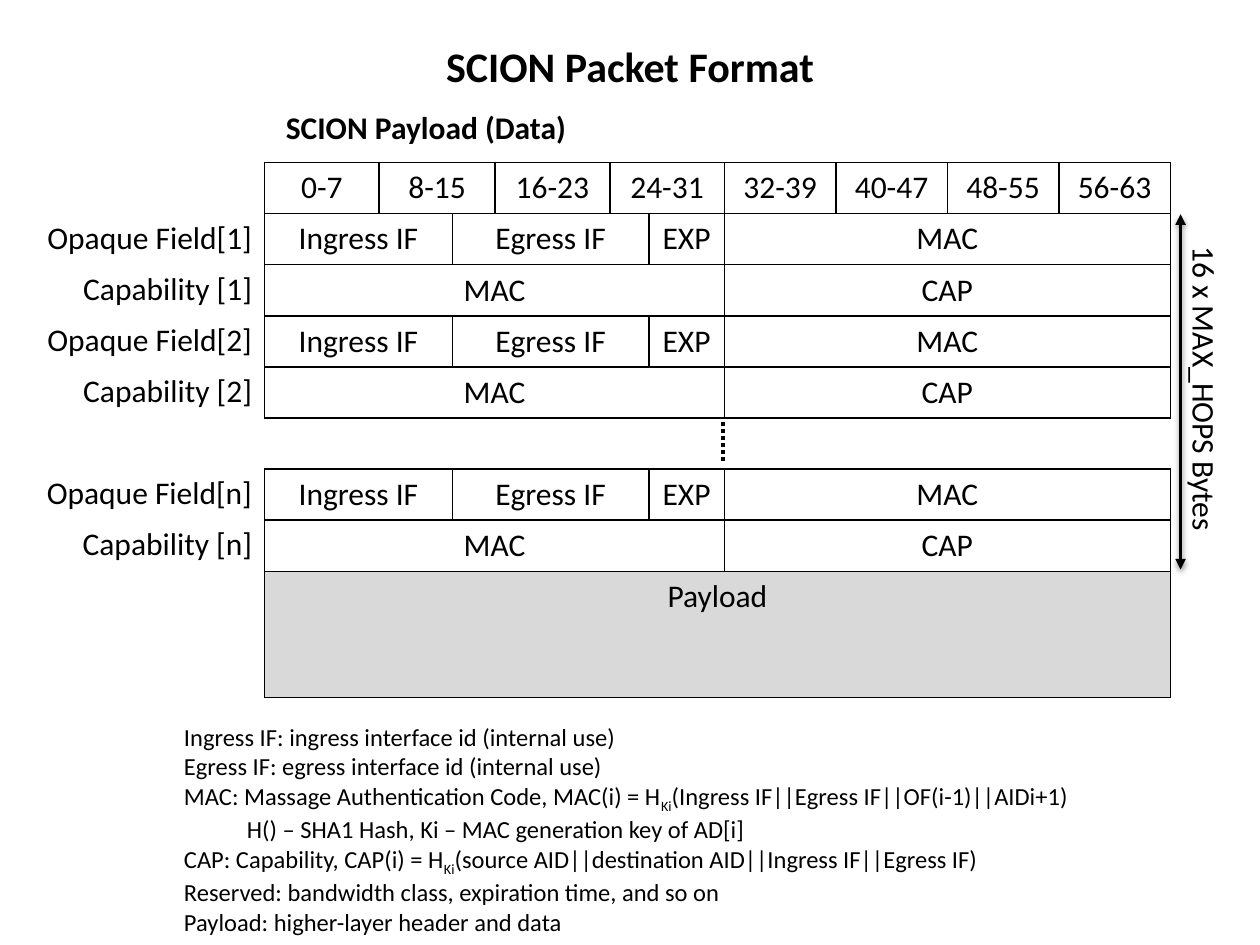
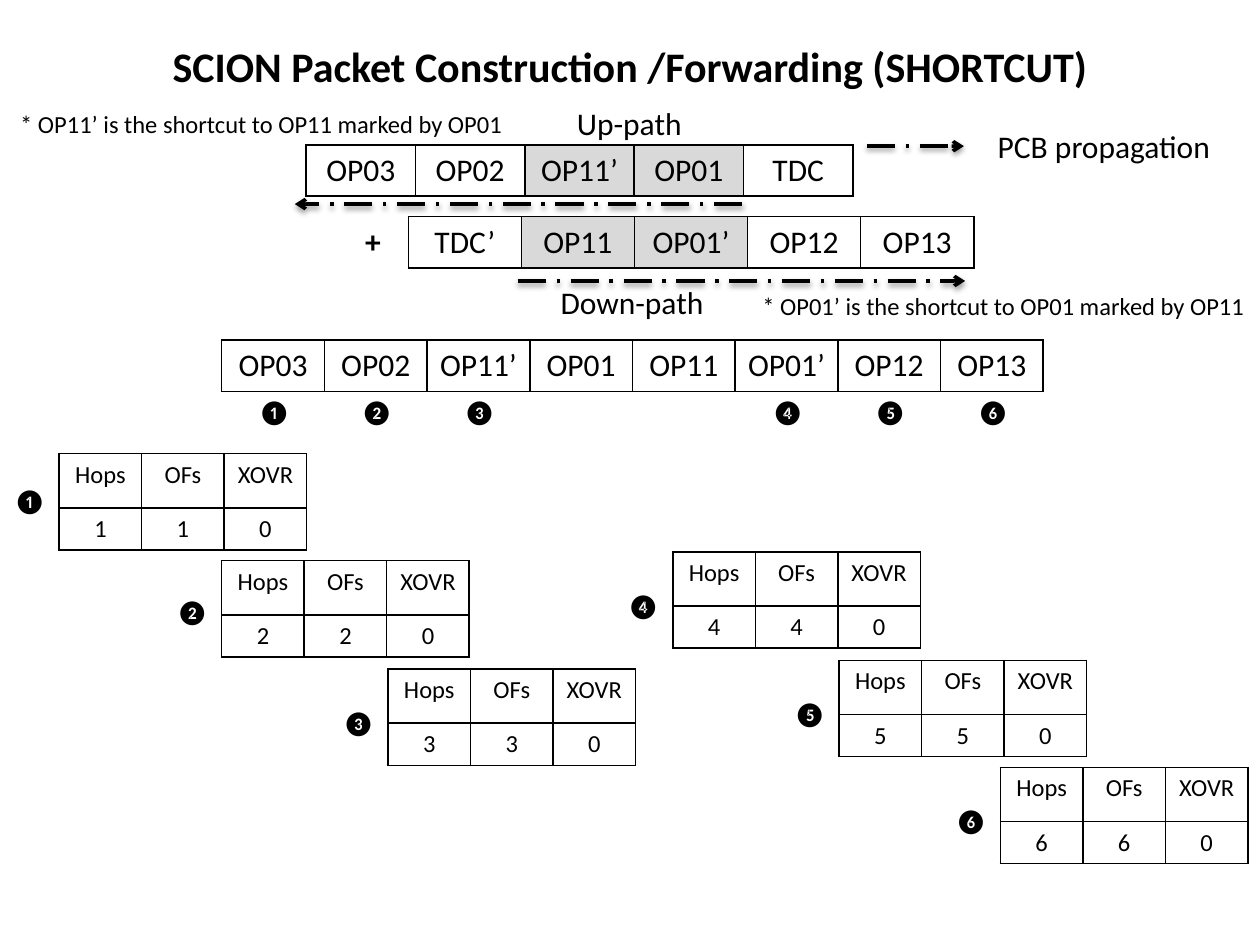
from dataclasses import dataclass
from itertools import accumulate

from lxml import etree
from pptx import Presentation
from pptx.dml.color import RGBColor
from pptx.enum.dml import MSO_LINE
from pptx.enum.shapes import MSO_CONNECTOR
from pptx.enum.text import MSO_ANCHOR, MSO_AUTO_SIZE, PP_ALIGN
from pptx.oxml.ns import qn
from pptx.util import Emu, Inches, Pt

LEFT, CENTER, RIGHT = PP_ALIGN.LEFT, PP_ALIGN.CENTER, PP_ALIGN.RIGHT
TOP = MSO_ANCHOR.TOP
FIXED = MSO_AUTO_SIZE.NONE
STRAIGHT = MSO_CONNECTOR.STRAIGHT
DOTTED, DASH_DOT = MSO_LINE.ROUND_DOT, MSO_LINE.LONG_DASH_DOT

SLIDE_WIDTH, SLIDE_HEIGHT = Inches(10), Inches(7.5)
GRID_COLUMNS, GRID_ROWS = 100, 75
FONT = "Calibri"
BLACK, WHITE, GRAY = "000000", "FFFFFF", "D9D9D9"
TITLE_SIZE, LABEL_SIZE, NOTE_SIZE = 24, 18, 14
LABEL_HEIGHT, NOTE_HEIGHT = 4, 3.4
FIELD_HEIGHT = 4.05
ALL_SIDES, FLAT_SIDES = "LRTB", "TB"


@dataclass(frozen=True)
class Cell:
    text: str
    span: int = 1
    fill: str = WHITE
    sides: str = ALL_SIDES


@dataclass(frozen=True)
class Label:
    text: str
    left: float
    top: float
    width: float
    size: int = LABEL_SIZE
    align: PP_ALIGN = LEFT
    bold: bool = False
    turn: int = 0


@dataclass(frozen=True)
class Line:
    start: tuple[float, float]
    end: tuple[float, float]
    dash: MSO_LINE | None = None
    head: str = ""
    tail: str = ""
    shadow: bool = True


@dataclass(frozen=True)
class Step:
    mark: str
    path_index: int
    left: float
    top: float
    mark_drop: float = 2.6


def across(columns: float) -> Emu:
    return Emu(round(SLIDE_WIDTH * columns / GRID_COLUMNS))


def down(rows: float) -> Emu:
    return Emu(round(SLIDE_HEIGHT * rows / GRID_ROWS))


def color(value: str) -> RGBColor:
    return RGBColor.from_string(value)


def write(para, text: str, *, size: int, bold: bool = False,
          align: PP_ALIGN = LEFT) -> None:
    para.alignment = align
    for position, part in enumerate(text.split("~")):
        span = para.add_run()
        span.text = part
        span.font.name = FONT
        span.font.size = Pt(size)
        span.font.bold = bold
        span.font.color.rgb = color(BLACK)
        if position % 2:
            span.font._element.set("baseline", "-25000")


def move(box, left: float, top: float, width: float, height: float) -> None:
    box.left, box.top = across(left), down(top)
    box.width, box.height = across(width), down(height)


def draw_title(page, text: str, width: float) -> None:
    title = page.shapes.title
    move(title, (GRID_COLUMNS - width) / 2, 2.7, width, 5)
    frame = title.text_frame
    frame.word_wrap = False
    frame.auto_size = FIXED
    frame.vertical_anchor = TOP
    write(frame.paragraphs[0], text, size=TITLE_SIZE, bold=True, align=CENTER)


def draw_label(page, label: Label) -> None:
    height = LABEL_HEIGHT if label.size == LABEL_SIZE else NOTE_HEIGHT
    box = page.shapes.add_textbox(across(label.left), down(label.top),
                                  across(label.width), down(height))
    box.rotation = label.turn
    box.text_frame.word_wrap = False
    write(box.text_frame.paragraphs[0], label.text, size=label.size,
          bold=label.bold, align=label.align)


def draw_legend(page, lines: list[tuple[str, float]]) -> None:
    body = page.placeholders[1]
    move(body, 13.6, 56.8, 78.3, 17.5)
    frame = body.text_frame
    frame.auto_size = FIXED
    for position, (text, indent) in enumerate(lines):
        para = frame.add_paragraph() if position else frame.paragraphs[0]
        para.space_before = Pt(0)
        write(para, text, size=NOTE_SIZE)
        settings = para._p.get_or_add_pPr()
        settings.set("marL", str(across(indent)))
        settings.set("indent", "0")
        etree.SubElement(settings, qn("a:buNone"))


def set_borders(cell, sides: str) -> None:
    settings = cell._tc.get_or_add_tcPr()
    for position, side in enumerate(ALL_SIDES):
        border = etree.Element(qn(f"a:ln{side}"), w=str(Pt(1)))
        if side in sides:
            fill = etree.SubElement(border, qn("a:solidFill"))
            etree.SubElement(fill, qn("a:srgbClr"), val=BLACK)
        else:
            etree.SubElement(border, qn("a:noFill"))
        settings.insert(position, border)


def draw_table(page, left: float, top: float, widths: list[float],
               heights: list[float], rows: list[list[Cell]],
               size: int = LABEL_SIZE) -> None:
    frame = page.shapes.add_table(len(heights), len(widths), across(left), down(top),
                                  across(sum(widths)), down(sum(heights)))
    table = frame.table
    table.first_row = table.horz_banding = False
    for column, width in zip(table.columns, widths):
        column.width = across(width)
    for row, height in zip(table.rows, heights):
        row.height = down(height)
    for row_index, row in enumerate(rows):
        starts = accumulate((cell.span for cell in row), initial=0)
        for start, item in zip(starts, row):
            last = start + item.span - 1
            for index in range(start, last + 1):
                cell = table.cell(row_index, index)
                cell.fill.solid()
                cell.fill.fore_color.rgb = color(item.fill)
                set_borders(cell, item.sides)
            origin = table.cell(row_index, start)
            if last > start:
                origin.merge(table.cell(row_index, last))
            if item.text:
                write(origin.text_frame.paragraphs[0], item.text,
                      size=size, align=CENTER)


def draw_line(page, line: Line) -> None:
    connector = page.shapes.add_connector(
        STRAIGHT, across(line.start[0]), down(line.start[1]),
        across(line.end[0]), down(line.end[1]))
    connector.line.color.rgb = color(BLACK)
    connector.line.width = Pt(2)
    if line.dash is not None:
        connector.line.dash_style = line.dash
    properties = connector.element.spPr
    outline = properties.find(qn("a:ln"))
    for tag, style in (("a:headEnd", line.head), ("a:tailEnd", line.tail)):
        if style:
            etree.SubElement(outline, qn(tag), type=style)
    effects = etree.SubElement(properties, qn("a:effectLst"))
    if line.shadow:
        shadow = etree.SubElement(effects, qn("a:outerShdw"), blurRad=str(Pt(3.1)),
                                  dist=str(Pt(1.6)), dir="5400000", rotWithShape="0")
        shade = etree.SubElement(shadow, qn("a:srgbClr"), val=BLACK)
        etree.SubElement(shade, qn("a:alpha"), val="38000")


def draw_path(page, left: float, top: float, width: float,
              names: str, shaded: tuple[str, ...] = ()) -> None:
    cells = [Cell(name, fill=GRAY if name in shaded else WHITE)
             for name in names.split()]
    draw_table(page, left, top, [width] * len(cells), [FIELD_HEIGHT], [cells])


def build_format_page(deck) -> None:
    page = deck.slides.add_slide(deck.slide_layouts[1])
    draw_title(page, "SCION Packet Format", 31.5)

    table_left, table_top = 21, 12.9
    widths = [9.1, 5.8, 3.4, 9.1, 3.1, 6] + [8.85] * 4
    header = [Cell(f"{8 * byte}-{8 * byte + 7}", 2 if byte in (1, 3) else 1)
              for byte in range(8)]
    hop = [[Cell("Ingress IF", 2), Cell("Egress IF", 3), Cell("EXP"), Cell("MAC", 4)],
           [Cell("MAC", 6), Cell("CAP", 4)]]
    gap = [Cell("", 10, sides=FLAT_SIDES)]
    payload = [Cell("Payload", 10, GRAY)]
    draw_table(page, table_left, table_top, widths, [FIELD_HEIGHT] * 8 + [10],
               [header, *hop, *hop, gap, *hop, payload])

    draw_label(page, Label("SCION Payload (Data)", 21.7, 8.1, 24.5, bold=True))
    for hop_name, first_row in (("1", 1), ("2", 3), ("n", 6)):
        top = table_top + first_row * FIELD_HEIGHT - 0.15
        for name, offset in (("Opaque Field", 0), ("Capability ", FIELD_HEIGHT)):
            draw_label(page, Label(f"{name}[{hop_name}]", 2.5, top + offset,
                                   18.5, align=RIGHT))
    draw_line(page, Line((57.4, 33.5), (57.4, 36.8), DOTTED, shadow=False))
    draw_line(page, Line((93.7, 17), (93.7, 45.2), head="triangle", tail="triangle"))
    draw_label(page, Label("16 x MAX_HOPS Bytes", 83.2, 29, 24.9, turn=90))
    draw_legend(page, [
        ("Ingress IF: ingress interface id (internal use)", 0),
        ("Egress IF: egress interface id (internal use)", 0),
        ("MAC: Massage Authentication Code, MAC(i) = H~Ki~"
         "(Ingress IF||Egress IF||OF(i-1)||AIDi+1)", 0),
        ("H() – SHA1 Hash, Ki – MAC generation key of AD[i]", 5),
        ("CAP: Capability, CAP(i) = H~Ki~"
         "(source AID||destination AID||Ingress IF||Egress IF)", 0),
        ("Reserved: bandwidth class, expiration time, and so on", 0),
        ("Payload: higher-layer header and data", 0),
    ])


def build_shortcut_page(deck) -> None:
    page = deck.slides.add_slide(deck.slide_layouts[5])
    draw_title(page, "SCION Packet Construction /Forwarding (SHORTCUT)", 75.8)

    path_left, path_width = 17.6, 8.15
    draw_path(page, 24.3, 11.5, 8.68, "OP03 OP02 OP11’ OP01 TDC", ("OP11’", "OP01"))
    draw_path(page, 32.4, 17.2, 8.98, "TDC’ OP11 OP01’ OP12 OP13", ("OP11", "OP01’"))
    draw_path(page, path_left, 27, path_width,
              "OP03 OP02 OP11’ OP01 OP11 OP01’ OP12 OP13")

    for label in (
        Label("Up-path", 44.8, 7.8, 10.4),
        Label("Down-path", 43.5, 22, 13.5),
        Label("+", 28, 17.1, 3.3, bold=True),
        Label("PCB propagation", 78.2, 9.6, 19.1),
        Label("* OP11’ is the shortcut to OP11 marked by OP01", 0.4, 8.2, 40.7,
              NOTE_SIZE, CENTER),
        Label("* OP01’ is the shortcut to OP01 marked by OP11", 59.3, 22.6, 40.7,
              NOTE_SIZE, CENTER),
    ):
        draw_label(page, label)

    for start, end in (((68.8, 11.6), (76.5, 11.6)),
                       ((41.1, 22.3), (76.6, 22.3)),
                       ((58.9, 16.2), (23.4, 16.2))):
        draw_line(page, Line(start, end, DASH_DOT, tail="arrow"))

    steps = [Step("❶", 0, 4.7, 36, 2.1), Step("❷", 1, 17.6, 44.5, 2.4),
             Step("❸", 2, 30.8, 53.1), Step("❹", 5, 53.4, 43.8),
             Step("❺", 6, 66.6, 52.4), Step("❻", 7, 79.4, 60.9)]
    for number, step in enumerate(steps, start=1):
        rows = [("Hops", "OFs", "XOVR"), (str(number), str(number), "0")]
        draw_table(page, step.left, step.top, [6.55] * 3, [4.3, 3.35],
                   [[Cell(text) for text in row] for row in rows], NOTE_SIZE)
        mark_left = path_left + step.path_index * path_width + 1.9
        for left, top in ((mark_left, 31),
                          (step.left - 4.6, step.top + step.mark_drop)):
            draw_label(page, Label(step.mark, left, top, 4.6, NOTE_SIZE))


def main() -> None:
    deck = Presentation()
    deck.slide_width, deck.slide_height = SLIDE_WIDTH, SLIDE_HEIGHT
    build_format_page(deck)
    build_shortcut_page(deck)
    deck.save("out.pptx")


if __name__ == "__main__":
    main()
